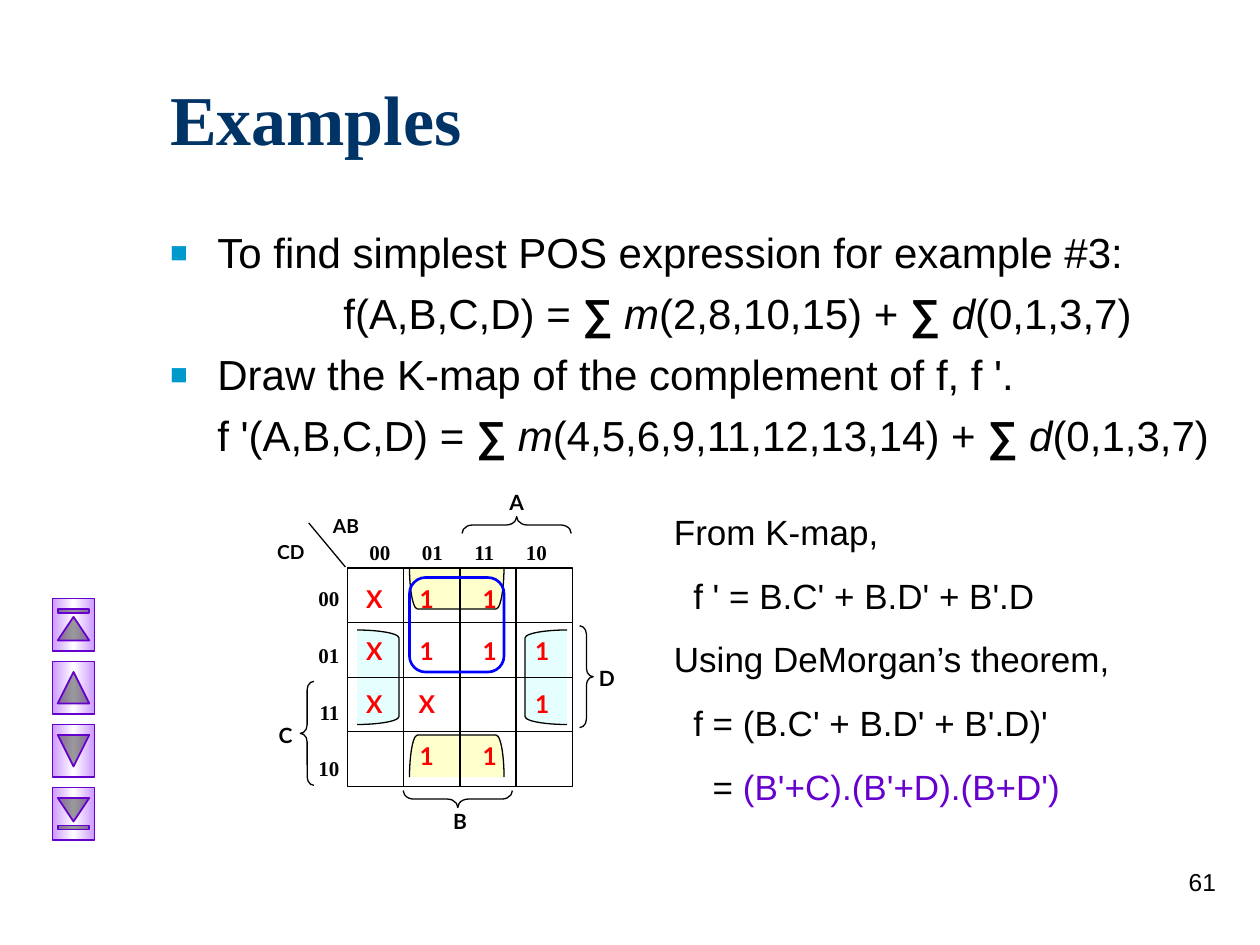
"""Build the K-map slide that finds the simplest POS expression."""
import pptx
import pptx.util
import pptx.dml.color
import pptx.enum.shapes
import pptx.enum.text
import pptx.oxml
import pptx.oxml.ns
from lxml import etree

THEME = {
    "navy": "003366", "black": "000000", "red": "FF0000", "blue": "0000FF",
    "teal": "0099CC", "plum": "6600CC", "lilac": "CC99FF", "white": "FFFFFF",
    "aqua": "CCFFFF", "cream": "FFFF99",
    "sans": "Arial", "serif": "Times New Roman", "label": "Lato",
    "title": 40, "body": 24, "proof": 20, "mark": 14, "name": 12, "axis": 11,
}
KIND = pptx.enum.shapes.MSO_SHAPE
ALIGN = pptx.enum.text.PP_ALIGN
RGB = pptx.dml.color.RGBColor.from_string
NS = pptx.oxml.ns.qn

deck = pptx.Presentation()
deck.slide_width = pptx.util.Inches(10)
deck.slide_height = pptx.util.Inches(7.5)
UNIT = deck.slide_width / 120
slide = deck.slides.add_slide(deck.slide_layouts[1])


def put(spot, lines, holder=None, size="name", font="label", color="black",
        bold=False, align=ALIGN.LEFT, gap=0, lefts=(), marks=(), tabs=(),
        anchor=pptx.enum.text.MSO_ANCHOR.TOP):
    """Write lines of (text, style) runs in a box placed on the grid."""
    place = [round(n * UNIT) for n in spot]
    box = holder or slide.shapes.add_textbox(*place)
    box.left, box.top, box.width, box.height = place
    frame = box.text_frame
    frame.word_wrap = True
    frame.auto_size = pptx.enum.text.MSO_AUTO_SIZE.NONE
    frame.vertical_anchor = anchor
    for row, line in enumerate(lines):
        para = frame.paragraphs[0] if row == 0 else frame.add_paragraph()
        props = para._p.get_or_add_pPr()
        if lefts:
            props.set("marL", str(round(lefts[row] * UNIT)))
            props.set("indent", "0")
        if marks and marks[row]:
            props.set("indent", str(round(-lefts[row] * UNIT)))
            tint = etree.SubElement(props, NS("a:buClr"))
            etree.SubElement(tint, NS("a:srgbClr"), val=THEME["teal"])
            etree.SubElement(props, NS("a:buSzPct"), val="70000")
            etree.SubElement(props, NS("a:buChar"), char=marks[row])
        elif marks:
            etree.SubElement(props, NS("a:buNone"))
        if tabs:
            stops = etree.SubElement(props, NS("a:tabLst"))
            for stop in tabs:
                etree.SubElement(stops, NS("a:tab"), pos=str(round(stop * UNIT)), algn="l")
        para.alignment = align
        para.space_before = pptx.util.Pt(gap if row else 0)
        for text, style in [(line, "")] if isinstance(line, str) else line:
            run = para.add_run()
            run.text = text
            run.font.name = THEME[font]
            run.font.size = pptx.util.Pt(THEME[size])
            run.font.bold = bold or style == "bold"
            run.font.italic = style == "italic"
            run.font.color.rgb = RGB(THEME[style if style in THEME else color])


def draw(kind, spot, turn=0, fill=None, line="black", width=0.75, bend=None):
    """Draw a preset shape on the grid, with half-clear fill if any."""
    shape = slide.shapes.add_shape(kind, *[round(n * UNIT) for n in spot])
    shape.shadow.inherit = False
    shape.rotation = turn
    shape.line.color.rgb = RGB(THEME[line])
    shape.line.width = pptx.util.Pt(width)
    if bend is not None:
        shape.adjustments[0] = bend
    if fill:
        shape.fill.solid()
        shape.fill.fore_color.rgb = RGB(THEME[fill])
        tint = shape._element.spPr.find(NS("a:solidFill"))[0]
        etree.SubElement(tint, NS("a:alpha"), val="50000")
    else:
        shape.fill.background()
    return shape


put((15, 6, 102, 10.3), ["Examples"], holder=slide.shapes.title, size="title",
    font="serif", color="navy", bold=True, anchor=pptx.enum.text.MSO_ANCHOR.MIDDLE)

SUM, MIN, DON = ("∑ ", "bold"), ("m", "italic"), ("d", "italic")
put((15, 21, 102, 24), [
    "To find simplest POS expression for example #3:",
    [("f(A,B,C,D) = ", ""), SUM, MIN, ("(2,8,10,15) + ", ""), SUM, DON, ("(0,1,3,7)", "")],
    "Draw the K-map of the complement of f, f '.",
    [("f '(A,B,C,D) = ", ""), SUM, MIN, ("(4,5,6,9,11,12,13,14) + ", ""), SUM, DON,
     ("(0,1,3,7)", "")],
], holder=slide.placeholders[1], size="body", font="sans", gap=6,
    lefts=(4.5, 16.5, 4.5, 4.5), marks=("■", "", "■", ""))

for row, kind in enumerate((KIND.ACTION_BUTTON_BEGINNING, KIND.ACTION_BUTTON_BACK_OR_PREVIOUS,
                            KIND.ACTION_BUTTON_FORWARD_OR_NEXT, KIND.ACTION_BUTTON_END)):
    key = draw(kind, (4.5, 57.5 + 6 * row, 5, 4), turn=90, line="plum", width=1)
    key.fill.gradient()
    key.fill.gradient_angle = 90
    stops = key._element.spPr.find(NS("a:gradFill")).find(NS("a:gsLst"))
    for old in list(stops):
        stops.remove(old)
    for share, tone in ((0, "lilac"), (50000, "white"), (100000, "lilac")):
        stop = etree.SubElement(stops, NS("a:gs"), pos=str(share))
        etree.SubElement(stop, NS("a:srgbClr"), val=THEME[tone])

put((63, 48, 50, 29.5), [
    "From K-map,", "f ' = B.C' + B.D' + B'.D", "Using DeMorgan’s theorem,",
    "f = (B.C' + B.D' + B'.D)'", [("= ", ""), ("(B'+C).(B'+D).(B+D')", "plum")],
], size="proof", font="sans", gap=12.5, lefts=(0, 1.85, 0, 1.85, 3.7))

for kind, spot, turn, fill in (
        (KIND.LEFT_BRACKET, (50, 60, 4, 9), 0, "aqua"),
        (KIND.RIGHT_BRACKET, (34, 60, 4, 9), 0, "aqua"),
        (KIND.LEFT_BRACKET, (41.5, 67.5, 4, 9), 90, "cream"),
        (KIND.LEFT_BRACKET, (41.5, 51.5, 4, 9), 270, "cream")):
    draw(kind, spot, turn, fill, bend=0.19)

LEFT, TOP, COL, ROW = 33.1, 54.1, 5.35, 5.2
RIGHT, BASE = LEFT + 4 * COL, TOP + 4 * ROW
grid = draw(KIND.RECTANGLE, (LEFT, TOP, 4 * COL, 4 * ROW))
rules = [(LEFT - 0.2, TOP - 0.1, 29.4, 49.8, None)]
for n in (1, 2, 3):
    x, y = LEFT + n * COL, TOP + n * ROW
    rules += [(x, TOP, x, BASE, (0, 2) if n == 2 else None),
              (LEFT, y, RIGHT, y, (1, 3) if n == 2 else None)]
rules.append((LEFT, BASE, RIGHT, BASE, None))
for *ends, sides in rules:
    rule = slide.shapes.add_connector(pptx.enum.shapes.MSO_CONNECTOR.STRAIGHT,
                                      *[round(n * UNIT) for n in ends])
    rule.line.color.rgb = RGB(THEME["black"])
    rule.line.width = pptx.util.Pt(0.75)
    etree.SubElement(rule._element.spPr, NS("a:effectLst"))
    if sides:
        rule.begin_connect(grid, sides[0])
        rule.end_connect(grid, sides[1])

for kind, spot, turn in ((KIND.LEFT_BRACE, (28.6, 64.9, 1.3, 9.9), 0),
                         (KIND.LEFT_BRACE, (48.4, 44.8, 1.6, 10.4), 90),
                         (KIND.LEFT_BRACE, (42.8, 70.9, 1.6, 10.4), 270),
                         (KIND.RIGHT_BRACE, (55.2, 59.6, 1.3, 9.7), 0)):
    draw(kind, spot, turn, bend=0.62)

for name, x, y, wide, size in (("A", 47.2, 46, 4, "name"), ("B", 41.8, 76.4, 4, "name"),
                               ("C", 25.2, 68.2, 4, "name"), ("D", 55.8, 62.8, 4, "name"),
                               ("CD", 24, 50.9, 7.4, "axis"), ("AB", 29.9, 48.4, 6.1, "axis")):
    put((x, y, wide, 3.5), [name], size=size, bold=True, align=ALIGN.CENTER)

put((28.8, 55.2, 4.7, 21.5), ["00", "01", "11", "10"], font="serif", bold=True,
    align=ALIGN.RIGHT, gap=18)
put((34, 50.8, 20, 4.2), ["00\t01\t11\t10"], font="serif", bold=True, tabs=(5, 10, 14.9))

for y, row in zip((55, 60, 65, 70), ("X11 ", "X111", "XX 1", " 11 ")):
    for x, mark in zip((33, 38, 44, 49), row):
        if mark != " ":
            put((x, y, 5.3, 4.2), [mark], size="mark", color="red", bold=True,
                align=ALIGN.CENTER)

draw(KIND.ROUNDED_RECTANGLE, (39, 55, 9, 9), line="blue", width=1.5, bend=0.17)
put((92, 82, 25, 6), ["61"], size="mark", font="sans", align=ALIGN.RIGHT)
deck.save("out.pptx")
